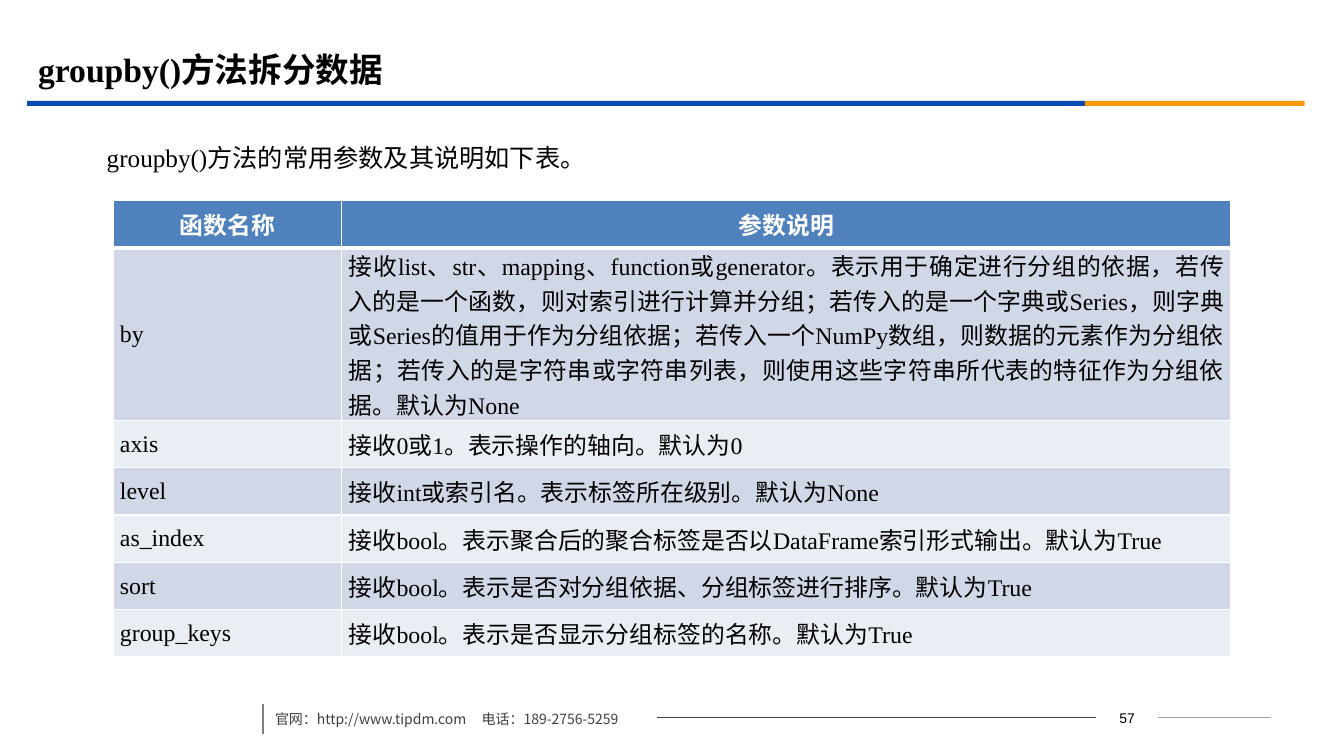
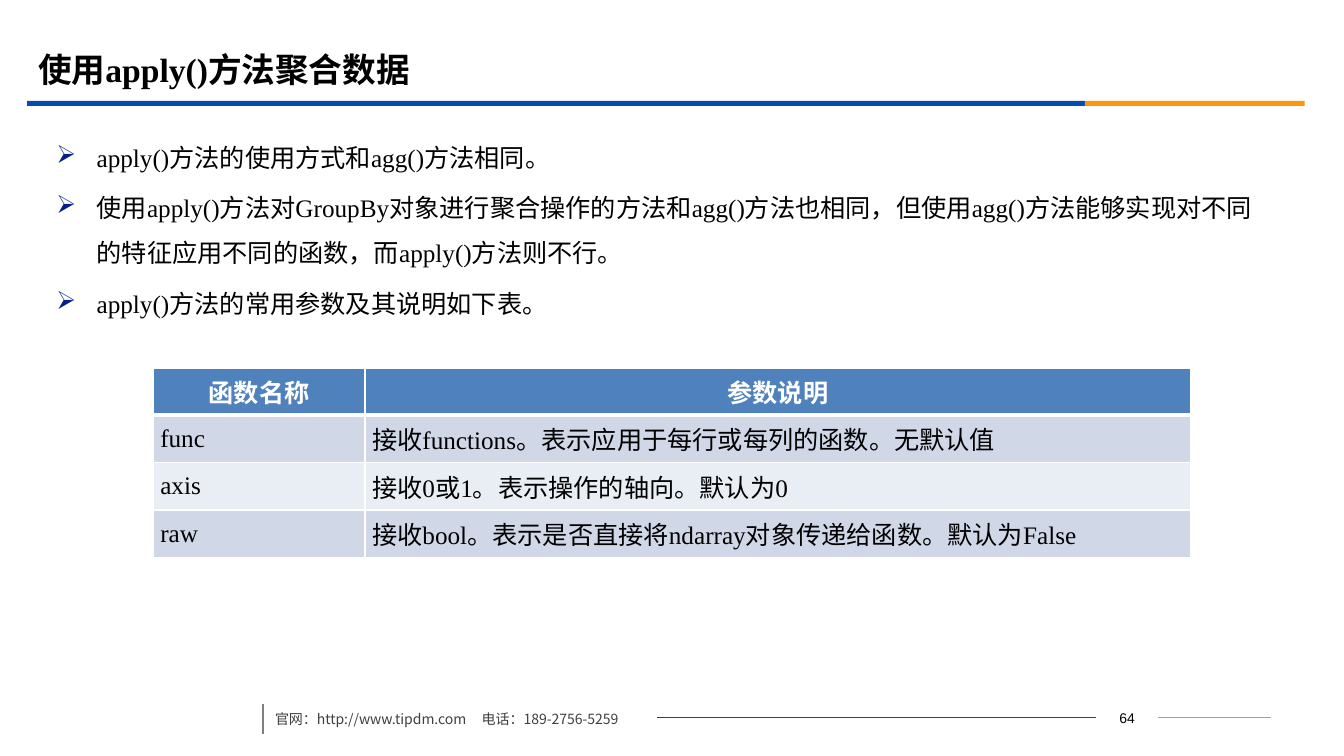
from dataclasses import dataclass

from lxml.etree import SubElement
from pptx import Presentation
from pptx.dml.color import RGBColor as Rgb
from pptx.enum.shapes import MSO_CONNECTOR as Connector, MSO_SHAPE as Shape
from pptx.enum.text import MSO_ANCHOR as Anchor, PP_ALIGN as Align
from pptx.oxml import parse_xml
from pptx.oxml.ns import nsdecls, qn
from pptx.util import Pt

SCALE = 9144  # EMU per px, 100 px to the inch


def px(length):
    return length * SCALE


@dataclass(frozen=True)
class Theme:
    # Colours
    blue: Rgb = Rgb(0x06, 0x4B, 0xB2)
    orange: Rgb = Rgb(0xFB, 0x97, 0x08)
    black: Rgb = Rgb(0, 0, 0)
    white: Rgb = Rgb(0xFF, 0xFF, 0xFF)
    bullet: Rgb = Rgb(0x03, 0x20, 0x89)
    footer: Rgb = Rgb(0x40, 0x40, 0x40)
    divider: Rgb = Rgb(0x80, 0x80, 0x80)
    pale_rule: Rgb = Rgb(0xA0, 0xA0, 0xA0)
    header: Rgb = Rgb(0x4F, 0x81, 0xBD)
    odd_row: Rgb = Rgb(0xD0, 0xD8, 0xE8)
    even_row: Rgb = Rgb(0xE9, 0xED, 0xF4)
    # Fonts and sizes
    main_font: str = "Times New Roman"
    footer_font: str = "Noto Sans CJK SC"
    number_font: str = "Arial"
    title_size: int = 24
    body_size: int = 18
    footer_size: int = 10


class SlideBuilder:
    def __init__(self, deck, theme):
        self.deck = deck
        self.theme = theme
        self.slide = None

    def start(self, title, number):
        """Add a slide with the shared title, bands and footer."""
        theme = self.theme
        self.slide = self.deck.slides.add_slide(self.deck.slide_layouts[6])

        # Bands under the title
        self.band(27, 1049, theme.blue)
        self.band(1076, 218, theme.orange)

        # Footer
        self.line(1149, 712, 1261, 712, theme.pale_rule, 0.75)
        self.line(652, 712, 1087, 712, theme.footer, 0.75)
        self.line(261, 698, 261, 728, theme.divider, 1.25)
        para = self.text_box(1087, 699, 62, 25).paragraphs[0]
        para.text = str(number)
        para.alignment = Align.CENTER
        self.style(para, theme.footer_size, theme.black, theme.number_font)
        para = self.text_box(263, 692, 536, 35).paragraphs[0]
        para.text = "官网：http://www.tipdm.com\t电话：189-2756-5259"
        para.line_spacing = 1.5
        tabs = SubElement(para._p.get_or_add_pPr(), qn("a:tabLst"))
        SubElement(tabs, qn("a:tab"), pos=str(px(205)), algn="l")
        self.style(para, theme.footer_size, theme.footer, theme.footer_font)

        # Title
        frame = self.text_box(28, 39, 1200, 58)
        frame.vertical_anchor = Anchor.MIDDLE
        para = frame.paragraphs[0]
        para.text = title
        self.style(para, theme.title_size, theme.black, bold=True)

    def style(self, para, size, color, name=None, bold=False):
        font = para.font
        font.name = name or self.theme.main_font
        font.size = Pt(size)
        font.bold = bold
        font.color.rgb = color

    def band(self, left, width, color):
        band = self.slide.shapes.add_shape(
            Shape.RECTANGLE, px(left), px(100), px(width), px(5))
        band.shadow.inherit = False
        band.fill.solid()
        band.fill.fore_color.rgb = color
        band.line.fill.background()

    def line(self, x1, y1, x2, y2, color, width):
        line = self.slide.shapes.add_connector(
            Connector.STRAIGHT, px(x1), px(y1), px(x2), px(y2))
        line.line.color.rgb = color
        line.line.width = Pt(width)
        SubElement(line._element.spPr, qn("a:effectLst"))

    def text_box(self, left, top, width, height):
        box = self.slide.shapes.add_textbox(
            px(left), px(top), px(width), px(height))
        box.text_frame.word_wrap = True
        return box.text_frame

    def body(self, lines, margin, bullets=False):
        theme = self.theme
        frame = self.text_box(46, 121, 1215, 553)
        for index, line in enumerate(lines):
            para = frame.add_paragraph() if index else frame.paragraphs[0]
            para.text = line
            para.line_spacing = 1.5
            if index:
                para.space_before = Pt(3.6)
            props = para._p.get_or_add_pPr()
            props.set("marL", str(px(margin)))
            if bullets:
                props.set("indent", str(-px(margin)))
                color = SubElement(props, qn("a:buClr"))
                SubElement(color, qn("a:srgbClr"), val=str(theme.bullet))
                SubElement(props, qn("a:buChar"), char="➢")
            self.style(para, theme.body_size, theme.black)

    def table(self, left, top, widths, rows, size, heights=None):
        """Draw a parameter table; heights overrides rows by index."""
        theme = self.theme
        rows = [("函数名称", "参数说明"), *rows]
        heights = [(heights or {}).get(index, 47) for index in range(len(rows))]
        table = self.slide.shapes.add_table(
            len(rows), len(widths), px(left), px(top),
            px(sum(widths)), px(sum(heights))).table
        table.horz_banding = False
        for column, width in zip(table.columns, widths):
            column.width = px(width)
        for index, (row, height, texts) in enumerate(
                zip(table.rows, heights, rows)):
            row.height = px(height)
            for cell, text in zip(row.cells, texts):
                self.cell(cell, text, index, size)

    def cell(self, cell, text, row, size):
        theme = self.theme
        is_header = row == 0
        cell.vertical_anchor = Anchor.MIDDLE
        para = cell.text_frame.paragraphs[0]
        para.text = text
        if is_header:
            fill, color, para.alignment = theme.header, theme.white, Align.CENTER
        else:
            fill = theme.odd_row if row % 2 else theme.even_row
            color, para.alignment = theme.black, Align.JUSTIFY
            cell.margin_left = cell.margin_right = px(7)
            cell.margin_top = cell.margin_bottom = 0
        self.style(para, size, color, bold=is_header)
        cell.fill.solid()
        cell.fill.fore_color.rgb = fill

        # White borders, thicker below the header
        widths = {"lnL": 1, "lnR": 1, "lnT": 3 if row == 1 else 1,
                  "lnB": 3 if is_header else 1}
        props = cell._tc.get_or_add_tcPr()
        for place, (tag, width) in enumerate(widths.items()):
            props.insert(place, parse_xml(
                f'<a:{tag} {nsdecls("a")} w="{Pt(width)}"><a:solidFill>'
                f'<a:srgbClr val="{theme.white}"/></a:solidFill></a:{tag}>'))


def main():
    deck = Presentation()
    deck.slide_width, deck.slide_height = px(1333), px(750)
    builder = SlideBuilder(deck, Theme())

    # Splitting with groupby()
    builder.start("groupby()方法拆分数据", 57)
    builder.body(["groupby()方法的常用参数及其说明如下表。"], margin=50)
    builder.table(112, 199, [227, 882], [
        ("by", "接收list、str、mapping、function或generator。"
               "表示用于确定进行分组的依据，若传入的是一个函数，则对索引进行计算并分组；"
               "若传入的是一个字典或Series，则字典或Series的值用于作为分组依据；"
               "若传入一个NumPy数组，则数据的元素作为分组依据；"
               "若传入的是字符串或字符串列表，则使用这些字符串所代表的特征作为分组依据。"
               "默认为None"),
        ("axis", "接收0或1。表示操作的轴向。默认为0"),
        ("level", "接收int或索引名。表示标签所在级别。默认为None"),
        ("as_index", "接收bool。表示聚合后的聚合标签是否以DataFrame索引形式输出。默认为True"),
        ("sort", "接收bool。表示是否对分组依据、分组标签进行排序。默认为True"),
        ("group_keys", "接收bool。表示是否显示分组标签的名称。默认为True"),
    ], size=17, heights={1: 171})

    # Aggregating with apply()
    builder.start("使用apply()方法聚合数据", 64)
    builder.body([
        "apply()方法的使用方式和agg()方法相同。",
        "使用apply()方法对GroupBy对象进行聚合操作的方法和agg()方法也相同，"
        "但使用agg()方法能够实现对不同的特征应用不同的函数，而apply()方法则不行。",
        "apply()方法的常用参数及其说明如下表。",
    ], margin=40, bullets=True)
    builder.table(152, 365, [210, 819], [
        ("func", "接收functions。表示应用于每行或每列的函数。无默认值"),
        ("axis", "接收0或1。表示操作的轴向。默认为0"),
        ("raw", "接收bool。表示是否直接将ndarray对象传递给函数。默认为False"),
    ], size=18)

    deck.save("out.pptx")


if __name__ == "__main__":
    main()
